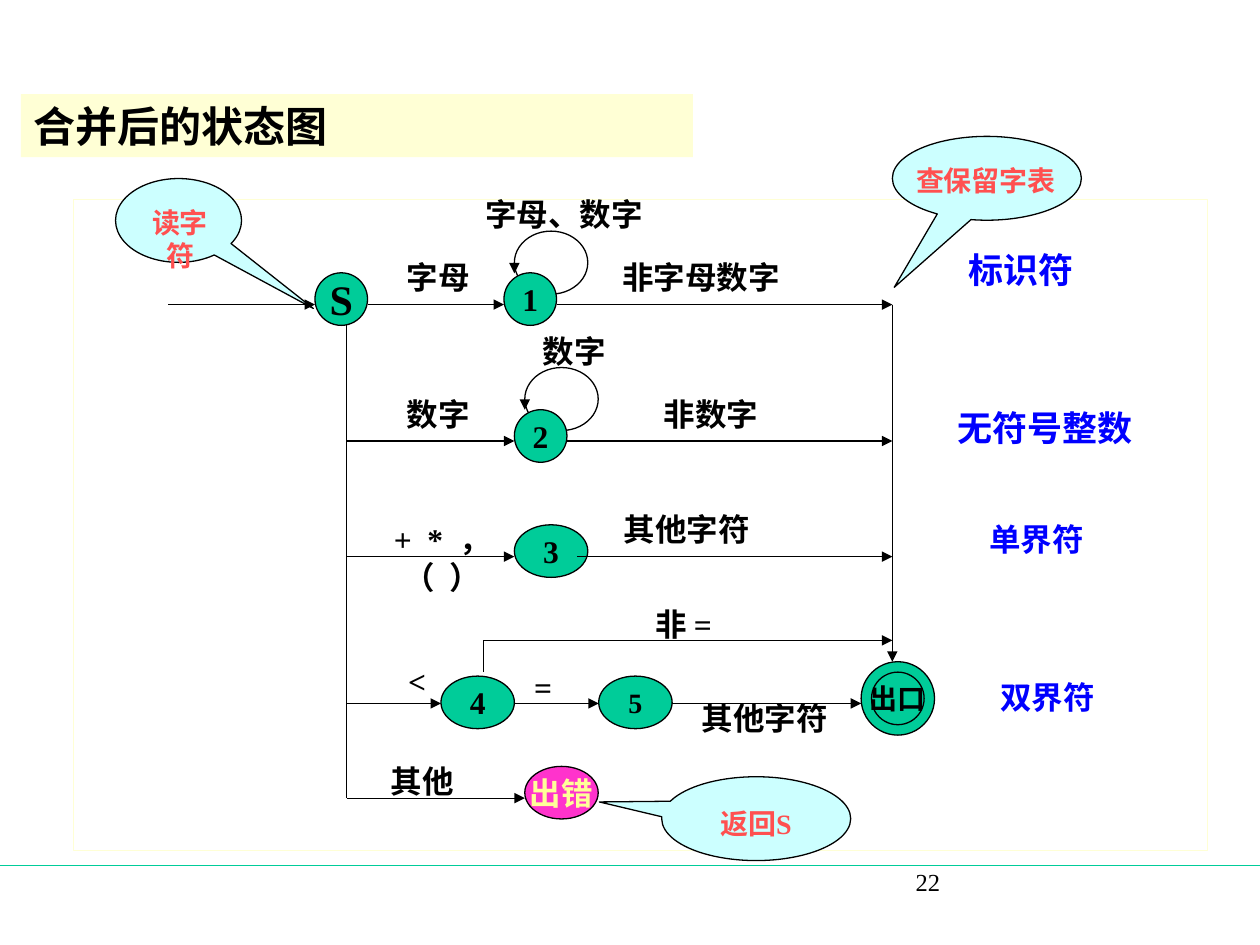
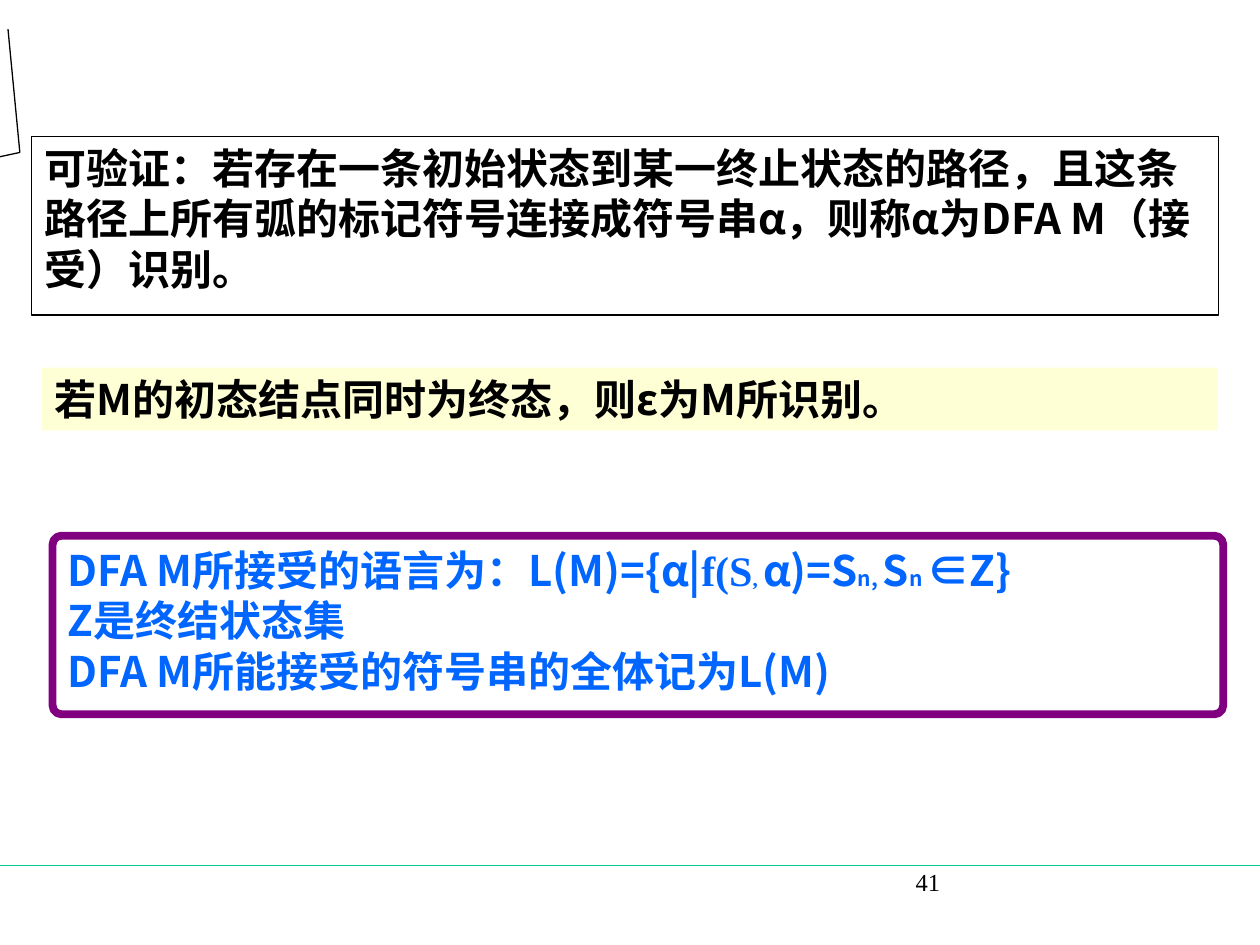
from dataclasses import dataclass
from lxml import etree
from pptx import Presentation
from pptx.dml.color import RGBColor
from pptx.enum.shapes import MSO_CONNECTOR, MSO_SHAPE
from pptx.enum.text import MSO_ANCHOR, PP_ALIGN
from pptx.oxml.ns import qn
from pptx.util import Cm, Pt

RECT = MSO_SHAPE.RECTANGLE
OVAL = MSO_SHAPE.OVAL
ROUNDED = MSO_SHAPE.ROUNDED_RECTANGLE
BUBBLE = MSO_SHAPE.OVAL_CALLOUT
LINE_CALLOUT = MSO_SHAPE.LINE_CALLOUT_2
STRAIGHT = MSO_CONNECTOR.STRAIGHT
TOP, MIDDLE = MSO_ANCHOR.TOP, MSO_ANCHOR.MIDDLE
LEFT, CENTER = PP_ALIGN.LEFT, PP_ALIGN.CENTER


@dataclass(frozen=True)
class Theme:
    ink: str = "000000"
    green: str = "00CC99"
    cream: str = "FFFFD5"
    sky: str = "CCFFFF"
    red: str = "FF5050"
    blue: str = "0000FF"
    azure: str = "0066FF"
    purple: str = "800080"
    pink: str = "FF33CC"
    yellow: str = "FFFF99"
    serif: str = "Times New Roman"
    sans: str = "Noto Sans CJK SC"
    heading: int = 24
    token: int = 20
    label: int = 18
    note: int = 16
    page: int = 14
    subscript: int = 12
    hairline: float = 0.75
    frame: float = 4.5


theme = Theme()


def add_box(slide, kind, frame, paragraphs=(), fill=None, line=None, weight=theme.hairline,
            adjust=(), color=theme.ink, align=CENTER, anchor=MIDDLE, wrap=False,
            bold=True, spacing=0):
    place = [Cm(length) for length in frame]
    if kind is None:
        box = slide.shapes.add_textbox(*place)
    else:
        box = slide.shapes.add_shape(kind, *place)
        box.shadow.inherit = False
        for index, value in enumerate(adjust):
            box.adjustments[index] = value
        if fill:
            box.fill.solid()
            box.fill.fore_color.rgb = RGBColor.from_string(fill)
        else:
            box.fill.background()
        if line:
            box.line.color.rgb = RGBColor.from_string(line)
            box.line.width = Pt(weight)
        else:
            box.line.fill.background()
    body = box.text_frame
    body.word_wrap = wrap
    body.vertical_anchor = anchor
    for index, runs in enumerate(paragraphs):
        paragraph = body.add_paragraph() if index else body.paragraphs[0]
        paragraph.alignment = align
        for text, size, font in runs:
            run = paragraph.add_run()
            run.text = text
            run.font.size = Pt(size)
            run.font.bold = bold
            run.font.color.rgb = RGBColor.from_string(color)
            run.font.name = font
            properties = run.font._element
            etree.SubElement(properties, qn("a:ea"), typeface=theme.sans)
            if spacing:
                properties.set("spc", str(spacing))


def add_line(slide, x1, y1, x2, y2, color=theme.ink, arrow=True):
    link = slide.shapes.add_connector(STRAIGHT, Cm(x1), Cm(y1), Cm(x2), Cm(y2))
    link.line.color.rgb = RGBColor.from_string(color)
    link.line.width = Pt(theme.hairline)
    if arrow:
        etree.SubElement(link.line._get_or_add_ln(), qn("a:tailEnd"), type="triangle")
    etree.SubElement(link._element.spPr, qn("a:effectLst"))


deck = Presentation()
deck.slide_width, deck.slide_height = Cm(25.4), Cm(19.05)
blank = deck.slide_layouts[6]
slides = []
for page in ("22", "41"):
    slide = deck.slides.add_slide(blank)
    add_line(slide, 0, 17.45, 25.4, 17.45, theme.green, arrow=False)
    add_box(slide, None, (18.21, 17.35, 5.28, 1.27), [[(page, theme.page, theme.serif)]],
            align=LEFT, anchor=TOP, wrap=True, bold=False)
    slides.append(slide)
diagram, language = slides

banners = [
    (diagram, (0.42, 1.9, 13.55, 1.27), "合并后的状态图"),
    (language, (0.85, 7.41, 23.7, 1.27), "若M的初态结点同时为终态，则ε为M所识别。"),
]
for slide, frame, text in banners:
    add_box(slide, RECT, frame, [[(text, theme.heading, theme.sans)]], fill=theme.cream,
            align=LEFT, anchor=TOP, wrap=True)

add_box(diagram, RECT, (1.48, 4.02, 22.86, 13.13), line=theme.cream)

tokens = [
    ("标识符", 19.28, 4.88, 2.62, theme.token),
    ("无符号整数", 19.05, 8.05, 4.04, theme.token),
    ("单界符", 19.69, 10.36, 2.41, theme.label),
    ("双界符", 19.91, 13.54, 2.41, theme.label),
]
for text, left, top, width, size in tokens:
    add_box(diagram, None, (left, top, width, size * 0.056),
            [[(text, size, theme.serif)]], color=theme.blue)

small, wide = 1.06, 1.48
for left, top in ((10.37, 4.66), (10.58, 7.41)):
    add_box(diagram, OVAL, (left, top, wide, 1.27), line=theme.ink)
    add_line(diagram, left, top + 0.63, left, top + 0.85)

states = [
    ("S", 6.35, 5.5, small, small, theme.heading),
    ("1", 10.16, 5.5, small, small, theme.label),
    ("2", 10.37, 8.26, small, small, theme.label),
    ("3", 10.37, 10.58, wide, small, theme.label),
    ("4", 8.89, 13.63, wide, small, theme.label),
    ("5", 12.07, 13.63, wide, small, theme.note),
    ("出口", 17.36, 13.34, wide, wide, theme.note),
]
for name, *frame, size in states:
    add_box(diagram, OVAL, frame, [[(name, size, theme.serif)]],
            fill=theme.green, line=theme.ink)
add_box(diagram, OVAL, (17.57, 13.55, small, small), line=theme.ink)
add_box(diagram, OVAL, (10.58, 15.45, wide, small), [[("出错", theme.label, theme.serif)]],
        fill=theme.pink, line=theme.ink, color=theme.yellow)

branch, merge = 6.99, 17.99
transitions = [
    (6.14, [(3.39, 6.35), (7.41, 10.16), (11.22, merge)]),
    (8.89, [(branch, 10.37), (11.43, merge)]),
    (11.22, [(branch, 10.37), (11.64, merge)]),
    (12.91, [(9.74, merge)]),
    (14.18, [(branch, 8.89), (10.37, 12.07), (13.55, 17.36)]),
    (16.09, [(branch, 10.58)]),
]
for row, spans in transitions:
    for start, end in spans:
        add_line(diagram, start, row, end, row)
add_line(diagram, merge, 6.14, merge, 13.34)
add_line(diagram, branch, 6.56, branch, 16.09, arrow=False)
add_line(diagram, 9.74, 13.55, 9.74, 12.91, arrow=False)

conditions = [
    ("字母、数字", 9.53, 3.81, 3.68),
    ("字母", 7.95, 5.08, 1.78),
    ("非字母数字", 12.29, 5.08, 3.68),
    ("数字", 10.69, 6.56, 1.78),
    ("数字", 7.95, 7.83, 1.78),
    ("非数字", 13.13, 7.83, 2.41),
    ("其他字符", 12.32, 10.16, 3.05),
    ("非 =", 12.88, 12.07, 1.8),
    ("<", 7.98, 13.21, 0.86),
    ("=", 10.52, 13.34, 0.86),
    ("其他字符", 13.89, 13.97, 3.05),
    ("其他", 7.62, 15.24, 1.78),
]
for text, left, top, width in conditions:
    add_box(diagram, None, (left, top, width, 1.02), [[(text, theme.label, theme.serif)]])
add_box(diagram, None, (7.62, 10.36, 2.59, 1.78),
        [[(text, theme.label, theme.serif)] for text in ("+ * ，", "（ ）")], spacing=225)

actions = [
    ("读字符", (2.33, 3.6, 2.54, 1.69), (1.07, 1.05), (2.54, 4.01, 2.18, 0.94)),
    ("查保留字表", (17.99, 2.75, 3.81, 1.69), (-0.49, 1.3), (18.21, 3.18, 3.33, 0.94)),
    ("返回S", (13.34, 15.66, 3.81, 1.69), (-0.83, -0.2), (14.2, 16.13, 2.08, 0.94)),
]
for text, bubble, pointer, caption in actions:
    add_box(diagram, BUBBLE, bubble, fill=theme.sky, line=theme.ink, adjust=pointer)
    add_box(diagram, None, caption, [[(text, theme.note, theme.serif)]],
            color=theme.red, anchor=TOP)

acceptance = ("可验证：若存在一条初始状态到某一终止状态的路径，且这条路径上所有弧的标记符号"
              "连接成符号串α，则称α为DFA M（接受）识别。")
add_box(language, LINE_CALLOUT, (0.64, 2.75, 23.92, 3.6),
        [[(acceptance, theme.heading, theme.sans)]], line=theme.ink,
        adjust=(0.19, -0.08, 0.09, -0.01, -0.6, -0.02), align=LEFT, anchor=TOP, wrap=True)

definition = [
    [
        ("DFA M所接受的语言为：L(M)={α|", theme.heading, theme.sans),
        ("f(S", theme.heading, theme.serif),
        (", ", theme.subscript, theme.serif),
        ("α)=S", theme.heading, theme.sans),
        ("n, ", theme.subscript, theme.sans),
        ("S", theme.heading, theme.sans),
        ("n ", theme.subscript, theme.sans),
        ("∈Z}", theme.heading, theme.sans),
    ],
    [("Z是终结状态集", theme.heading, theme.sans)],
    [("DFA M所能接受的符号串的全体记为L(M)", theme.heading, theme.sans)],
]
add_box(language, ROUNDED, (1.06, 10.8, 23.6, 3.6), definition, line=theme.purple,
        weight=theme.frame, adjust=(0.05,), color=theme.azure, align=LEFT, anchor=TOP, wrap=True)

deck.save("out.pptx")
